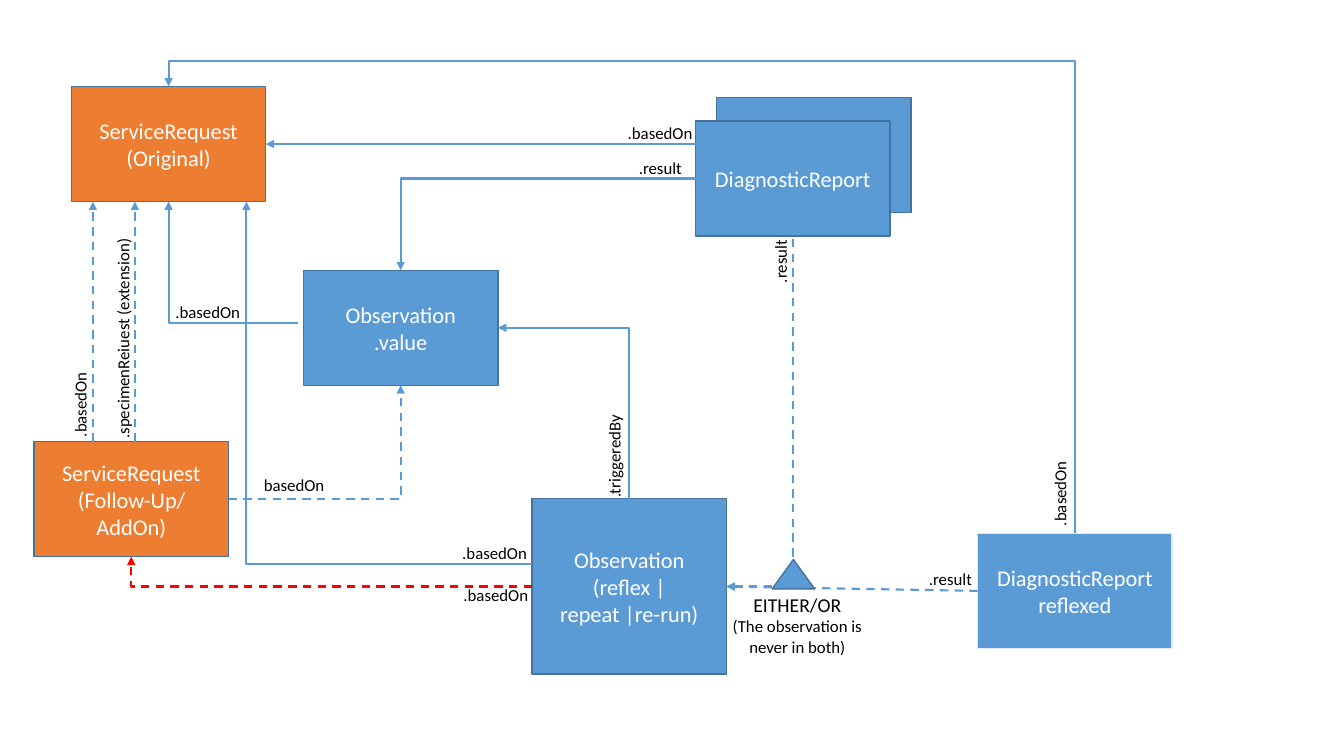
from collections import namedtuple

from lxml import etree
from pptx import Presentation
from pptx import util as u
from pptx.dml import color
from pptx.enum import dml, shapes, text
from pptx.oxml import ns

BLUE, ORANGE, RED = "5B9BD5", "ED7D31", "FF0000"
EDGE, PALE, WHITE, BLACK = "43739E", "DEEBF7", "FFFFFF", "000000"
NODE_WIDTH, NODE_HEIGHT, LABEL_HEIGHT = 4.9, 2.9, 0.77

Box = namedtuple("Box", "left top width height")


def apply(target, values):
    for name, value in values.items():
        setattr(target, name, value)


def rgb(value):
    return color.RGBColor.from_string(value)


def place(box, dx, dy, width, height):
    return [u.Cm(length) for length in (box.left + dx, box.top + dy, width, height)]


def at(shape, across, down):
    return round(shape.left + shape.width * across), round(shape.top + shape.height * down)


def write(frame, lines, size, ink, align):
    for index, line in enumerate(lines):
        para = frame.paragraphs[0] if index == 0 else frame.add_paragraph()
        para.alignment = align
        span = para.add_run()
        span.text = line
        apply(span.font, {"size": u.Pt(size), "name": "Calibri"})
        span.font.color.rgb = rgb(ink)


def add_block(page, kind, frame, fill, edge):
    block = page.shapes.add_shape(kind, *frame)
    block.shadow.inherit = False
    block.fill.solid()
    block.fill.fore_color.rgb = rgb(fill)
    block.line.color.rgb = rgb(edge)
    block.line.width = u.Pt(1)
    return block


def add_node(page, box, lines, dx, dy, fill=BLUE, edge=EDGE, height=NODE_HEIGHT):
    frame = place(box, dx, dy, NODE_WIDTH, height)
    node = add_block(page, shapes.MSO_SHAPE.RECTANGLE, frame, fill, edge)
    apply(node.text_frame, {"word_wrap": True, "vertical_anchor": text.MSO_ANCHOR.MIDDLE})
    write(node.text_frame, lines, 16, WHITE, text.PP_ALIGN.CENTER)
    return node


def add_label(page, box, line, dx, dy, width=2.16, rotation=0):
    label = page.shapes.add_textbox(*place(box, dx, dy, width, LABEL_HEIGHT))
    label.rotation = rotation
    label.text_frame.word_wrap = False
    write(label.text_frame, [line], 12, BLACK, text.PP_ALIGN.LEFT)


def add_link(page, start, end, bent=False, dashed=False, ink=BLUE, arrow="tailEnd"):
    kind = shapes.MSO_CONNECTOR.ELBOW if bent else shapes.MSO_CONNECTOR.STRAIGHT
    link = page.shapes.add_connector(kind, *start, *end)
    link.line.color.rgb = rgb(ink)
    link.line.width = u.Pt(1.5)
    if dashed:
        link.line.dash_style = dml.MSO_LINE.DASH
    properties = link.line._get_or_add_ln()
    etree.SubElement(properties, ns.qn("a:" + arrow), type="triangle")
    etree.SubElement(link._element.spPr, ns.qn("a:effectLst"))
    if bent:
        link._element.spPr.find(ns.qn("a:prstGeom")).set("prst", "bentConnector2")
    return link


def add_roof_link(page, start, end, roof):
    rise, run = start[1] - end[1], start[0] - end[0]
    left = (start[0] + end[0] - rise) // 2
    top = (start[1] + end[1] - run) // 2
    link = add_link(page, (left, top + run), (left + rise, top), bent=True)
    link._element.spPr.find(ns.qn("a:xfrm")).set("rot", str(270 * 60000))
    outline = link._element.spPr.find(ns.qn("a:prstGeom"))
    outline.set("prst", "bentConnector3")
    bend = round((start[1] - roof) / rise * 100000)
    etree.SubElement(outline.find(ns.qn("a:avLst")), ns.qn("a:gd"), name="adj1", fmla=f"val {bend}")


def draw_requests(page, box):
    original = add_node(page, box, ["ServiceRequest", "(Original)"], 0.94, 0, ORANGE)
    follow_up = add_node(page, box, ["ServiceRequest", "(Follow-Up/AddOn)"],
                         0, box.height - NODE_HEIGHT, ORANGE)
    for dx in (1.48, 2.54):
        x = u.Cm(box.left + dx)
        add_link(page, (x, follow_up.top), (x, at(original, 0, 1)[1]), dashed=True)
    add_label(page, box, ".basedOn", 0.08, 7.62, rotation=270)
    add_label(page, box, ".specimenReiuest (extension)", -0.68, 5.82, 5.84, 270)
    return original, follow_up


def draw_observations(page, box):
    value = add_node(page, box, ["Observation", ".value"], 0, 0)
    reflex = add_node(page, box, ["Observation", "(reflex |", "repeat |re-run)"],
                      box.width - NODE_WIDTH, 5.76, height=box.height - 5.76)
    add_link(page, at(value, 1, 0.5), at(reflex, 0.5, 0), bent=True, arrow="headEnd")
    add_label(page, box, ".triggeredBy", 6.52, 4.29, 2.62, 270)
    return value, reflex


def draw_reports(page, box):
    add_node(page, box, ["DiagnosticReport"], 0.53, 0)
    report = add_node(page, box, ["DiagnosticReport"], 0, 0.59)
    reflexed = add_node(page, box, ["DiagnosticReport", "reflexed"],
                        box.width - NODE_WIDTH, box.height - NODE_HEIGHT, edge=PALE)
    add_label(page, box, ".basedOn", -1.96, 0.51)
    add_label(page, box, ".result", -1.68, 1.4, 1.6)
    add_label(page, box, ".result", 1.34, 3.74, 1.6, 270)
    add_label(page, box, ".basedOn", 8.1, 9.58, rotation=270)
    add_label(page, box, ".result", 5.63, 11.74, 1.6)
    return report, reflexed


def draw_request_links(page, box, original, follow_up, value, reflex):
    add_link(page, at(follow_up, 1, 0.5), at(value, 0.5, 1), bent=True, dashed=True)
    add_link(page, (u.Cm(box.left + 3.35), u.Cm(box.top + 0.66)), at(original, 0.5, 1), bent=True)
    add_link(page, at(reflex, 0, 0.5), at(follow_up, 0.5, 1), bent=True, dashed=True, ink=RED)
    add_link(page, at(reflex, 0, 0.37), at(original, 0.9, 1), bent=True)
    add_label(page, box, ".basedOn", 0, 0)
    add_label(page, box, "basedOn", 2.23, 4.35, 2.06)
    add_label(page, box, ".basedOn", 7.23, 6.07)
    add_label(page, box, ".basedOn", 7.26, 7.11)


def draw_report_links(page, roof, original, value, reflex, report, reflexed):
    add_link(page, at(report, 0, 0.5), at(value, 0.5, 0), bent=True)
    add_link(page, at(reflex, 1, 0.5), at(report, 0.5, 1), bent=True, dashed=True, arrow="headEnd")
    based_on = add_link(page, at(report, 0, 0.2), at(original, 1, 0.5))
    based_on.end_connect(original, 3)
    result = add_link(page, at(reflexed, 0, 0.5), at(reflex, 1, 0.5), dashed=True)
    result.begin_connect(reflexed, 1)
    result.end_connect(reflex, 3)
    add_roof_link(page, at(reflexed, 0.5, 0), at(original, 0.5, 0), roof)


def draw_choice(page, box):
    add_block(page, shapes.MSO_SHAPE.ISOSCELES_TRIANGLE,
              place(box, 1.27, 0, 1.07, 0.74), BLUE, EDGE)
    caption = page.shapes.add_textbox(*place(box, 0, 0.71, box.width, box.height - 0.71))
    caption.text_frame.word_wrap = False
    write(caption.text_frame, ["EITHER/OR", "(The observation is"], 14, BLACK, text.PP_ALIGN.CENTER)
    note = caption.text_frame.paragraphs[1]
    note.add_line_break()
    note.add_run().text = "never in both)"
    for span in note.runs:
        apply(span.font, {"size": u.Pt(12), "name": "Calibri"})
        span.font.color.rgb = rgb(BLACK)


def main():
    deck = Presentation()
    apply(deck, {"slide_width": u.Cm(33.87), "slide_height": u.Cm(19.05)})
    page = deck.slides.add_slide(deck.slide_layouts[6])
    original, follow_up = draw_requests(page, Box(0.86, 2.18, 5.84, 11.85))
    value, reflex = draw_observations(page, Box(7.65, 6.81, 10.66, 10.18))
    report, reflexed = draw_reports(page, Box(17.53, 2.46, 12.01, 13.88))
    draw_request_links(page, Box(4.17, 7.49, 9.5, 7.9), original, follow_up, value, reflex)
    draw_report_links(page, u.Cm(1.55), original, value, reflex, report, reflexed)
    draw_choice(page, Box(18.19, 14.1, 3.81, 2.59))
    deck.save("out.pptx")


if __name__ == "__main__":
    main()
